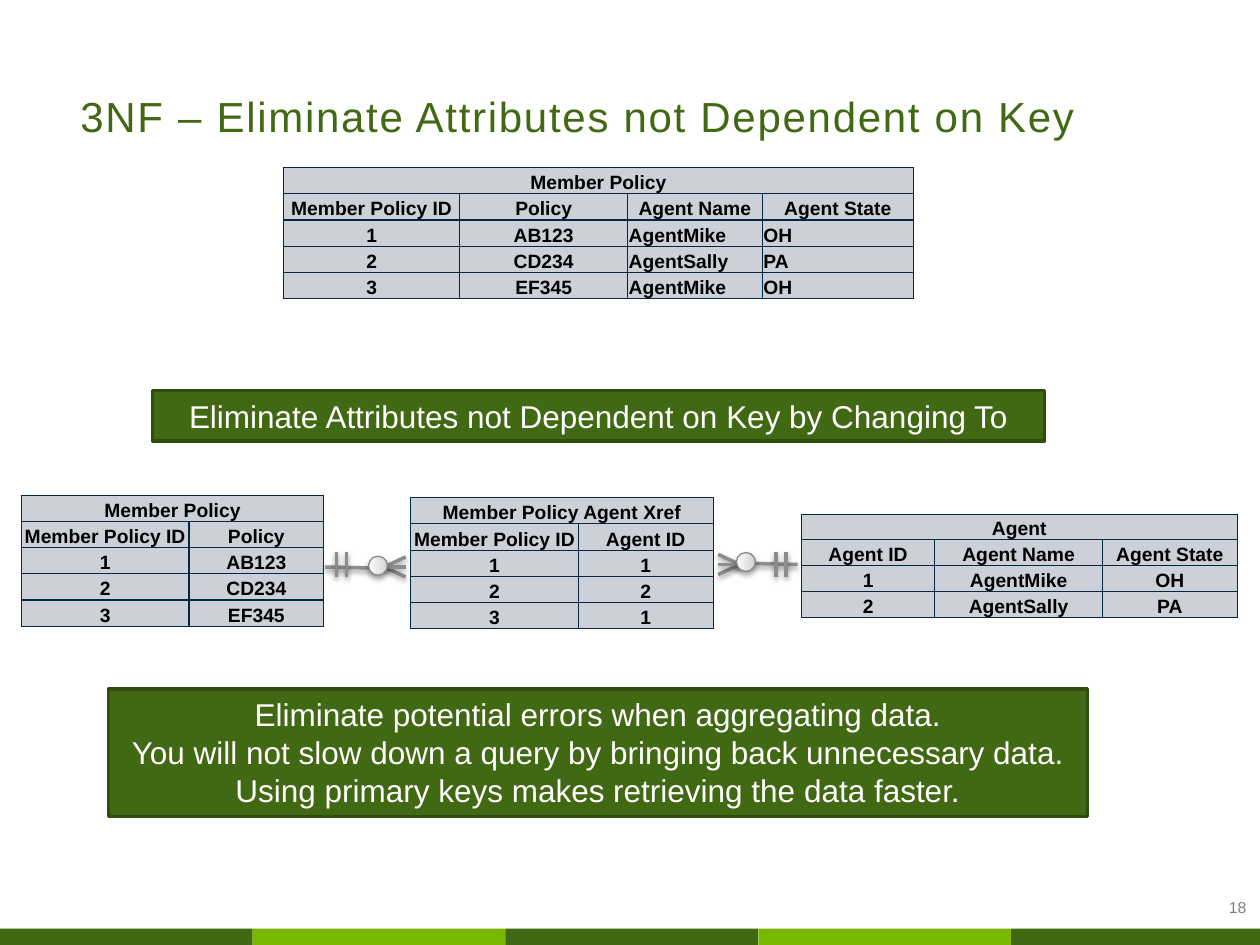
from lxml.etree import SubElement
from pptx import Presentation
from pptx.dml.color import RGBColor
from pptx.enum.shapes import MSO_CONNECTOR as Connector, MSO_SHAPE as Shape
from pptx.enum.text import MSO_ANCHOR as Anchor, MSO_AUTO_SIZE as AutoSize, PP_ALIGN as Align
from pptx.oxml.ns import qn
from pptx.util import Inches, Pt

COLORS = {
    "dark_green": "416812",
    "light_green": "7AB800",
    "green_edge": "304D0D",
    "white": "FFFFFF",
    "black": "000000",
    "number": "808080",
    "cell": "CDD0D7",
    "border": "002A43",
    "link": "8B8D8E",
    "ring_edge": "888A8B",
    "ring_shade": "CFD1D2",
}


def rgb(name):
    return RGBColor.from_string(COLORS[name])


def inches(*lengths):
    return [Inches(length) for length in lengths]


def write_text(frame, text, size=18, color="white", bold=False, align=Align.LEFT,
               anchor=Anchor.TOP, margins=(0.1, 0.05, 0.1, 0.05),
               line_spacing=None, tracking=None):
    frame.word_wrap = True
    frame.vertical_anchor = anchor
    (frame.margin_left, frame.margin_top,
     frame.margin_right, frame.margin_bottom) = inches(*margins)
    for index, line in enumerate(text.split("\n")):
        paragraph = frame.add_paragraph() if index else frame.paragraphs[0]
        paragraph.alignment = align
        if line_spacing:
            paragraph.line_spacing = Pt(line_spacing)
        run = paragraph.add_run()
        run.text = line
        run.font.name = "Arial"
        run.font.size = Pt(size)
        run.font.bold = bold
        run.font.color.rgb = rgb(color)
        if tracking:
            run.font._element.set("spc", str(tracking * 100))


def add_text_box(slide, box, text, **text_format):
    shape = slide.shapes.add_textbox(*inches(*box))
    write_text(shape.text_frame, text, **text_format)


def add_shadow(shape, distance, opacity):
    effects = SubElement(shape._element.spPr, qn("a:effectLst"))
    shadow = SubElement(effects, qn("a:outerShdw"), blurRad=str(Pt(3.1)),
                        dist=str(Pt(distance)), dir="5400000", rotWithShape="0")
    color = SubElement(shadow, qn("a:srgbClr"), val=COLORS["black"])
    SubElement(color, qn("a:alpha"), val=str(opacity * 1000))


def add_footer(slide, box, count=5):
    left, top, width, height = box
    pitch = width / count
    for index in range(count):
        band = slide.shapes.add_shape(
            Shape.RECTANGLE, *inches(left + index * pitch, top, pitch, height))
        band.shadow.inherit = False
        band.fill.solid()
        band.fill.fore_color.rgb = rgb("light_green" if index % 2 else "dark_green")
        band.line.fill.background()


def add_banner(slide, box, text):
    banner = slide.shapes.add_shape(Shape.RECTANGLE, *inches(*box))
    banner.shadow.inherit = False
    banner.fill.solid()
    banner.fill.fore_color.rgb = rgb("dark_green")
    banner.line.color.rgb = rgb("green_edge")
    banner.line.width = Pt(2)
    write_text(banner.text_frame, text, align=Align.CENTER)
    banner.text_frame.auto_size = AutoSize.SHAPE_TO_FIT_TEXT


def style_cell(cell):
    properties = cell._tc.get_or_add_tcPr()
    for side in ("lnL", "lnR", "lnT", "lnB"):
        line = SubElement(properties, qn(f"a:{side}"), w=str(Pt(0.75)))
        fill = SubElement(line, qn("a:solidFill"))
        SubElement(fill, qn("a:srgbClr"), val=COLORS["border"])
    cell.fill.solid()
    cell.fill.fore_color.rgb = rgb("cell")


def add_entity(slide, box, title, column_widths, rows, left_columns=()):
    row_count = len(rows) + 1
    table = slide.shapes.add_table(row_count, len(column_widths), *inches(*box)).table
    table.first_row = False
    table.horz_banding = False
    for column, width in zip(table.columns, column_widths):
        column.width = Inches(width)
    for row in table.rows:
        row.height = Inches(box[3] / row_count)
    for cell in table.iter_cells():
        style_cell(cell)
    table.cell(0, 0).merge(table.cell(0, len(column_widths) - 1))
    for row_index, values in enumerate([[title], *rows]):
        for column_index, value in enumerate(values):
            is_left = row_index > 1 and column_index in left_columns
            cell = table.cell(row_index, column_index)
            write_text(cell.text_frame, value, size=11, color="black", bold=True,
                       align=Align.LEFT if is_left else Align.CENTER)
            cell.vertical_anchor = Anchor.BOTTOM
            (cell.margin_left, cell.margin_top,
             cell.margin_right, cell.margin_bottom) = inches(0.01, 0.01, 0.01, 0)


def add_link_line(slide, start, end):
    line = slide.shapes.add_connector(Connector.STRAIGHT, *inches(*start, *end))
    line.line.color.rgb = rgb("link")
    line.line.width = Pt(2)
    add_shadow(line, 1.6, 38)


def add_relationship(slide, box, axis, ring_axis, many_on_right):
    left, top, width, height = box
    one, many, step = (left, left + width, 1) if many_on_right else (left + width, left, -1)
    joint = many - 0.17 * step
    add_link_line(slide, (one, axis), (joint, axis + 0.01 * step))
    for spread in (0.08, -0.08, 0):
        add_link_line(slide, (many, axis + spread * step), (joint, axis))
    for offset in (0.09, 0.17):
        bar = one + offset * step
        add_link_line(slide, (bar, top), (bar, top + height))

    size = 0.15
    center = many - 0.22 * step
    ring = slide.shapes.add_shape(
        Shape.FLOWCHART_CONNECTOR,
        *inches(center - size / 2, ring_axis - size / 2, size, size))
    ring.fill.gradient()
    ring.fill.gradient_angle = 0
    for stop, position, color in zip(ring.fill.gradient_stops, (0, 1), ("white", "ring_shade")):
        stop.position = position
        stop.color.rgb = rgb(color)
    ring.line.color.rgb = rgb("ring_edge")
    ring.line.width = Pt(0.75)
    add_shadow(ring, 1.8, 35)


def main():
    presentation = Presentation()
    presentation.slide_width, presentation.slide_height = inches(10, 7.5)
    slide = presentation.slides.add_slide(presentation.slide_layouts[6])

    add_footer(slide, (0, 7.37, 10.03, 0.15))
    add_text_box(slide, (0.54, 0.37, 8.96, 0.75),
                 "3NF – Eliminate Attributes not Dependent on Key",
                 size=24, color="dark_green", anchor=Anchor.BOTTOM,
                 margins=(0.1, 0.05, 0.1, 0), line_spacing=26.8, tracking=1)
    add_text_box(slide, (9.32, 7.08, 0.67, 0.2), "18",
                 size=9, color="number", align=Align.RIGHT)

    policies = [("1", "AB123"), ("2", "CD234"), ("3", "EF345")]
    agents = [("AgentMike", "OH"), ("AgentSally", "PA")]
    policy_header = ("Member Policy ID", "Policy")
    agent_header = ("Agent Name", "Agent State")
    policy_agents = [agents[0], agents[1], agents[0]]

    add_entity(slide, (2.25, 1.33, 5, 1.04), "Member Policy", (1.4, 1.33, 1.07, 1.2),
               [policy_header + agent_header]
               + [policy + agent for policy, agent in zip(policies, policy_agents)],
               left_columns=(2, 3))
    add_banner(slide, (1.21, 3.1, 7.08, 0.4),
               "Eliminate Attributes not Dependent on Key by Changing To")
    add_entity(slide, (0.17, 3.93, 2.4, 1.04), "Member Policy", (1.33, 1.07),
               [policy_header, *policies])
    add_entity(slide, (3.26, 3.95, 2.4, 1.04), "Member Policy Agent Xref", (1.33, 1.07),
               [("Member Policy ID", "Agent ID"), ("1", "1"), ("2", "2"), ("3", "1")])
    add_entity(slide, (6.36, 4.08, 3.47, 0.82), "Agent", (1.06, 1.33, 1.07),
               [("Agent ID", *agent_header)]
               + [(str(number), *agent) for number, agent in enumerate(agents, 1)])
    add_relationship(slide, (2.58, 4.38, 0.64, 0.2), 4.5, 4.49, many_on_right=True)
    add_relationship(slide, (5.7, 4.38, 0.63, 0.2), 4.48, 4.46, many_on_right=False)
    add_banner(slide, (0.86, 5.47, 7.77, 1.01),
               "Eliminate potential errors when aggregating data.\n"
               "You will not slow down a query by bringing back unnecessary data.\n"
               "Using primary keys makes retrieving the data faster.")
    presentation.save("out.pptx")


if __name__ == "__main__":
    main()
